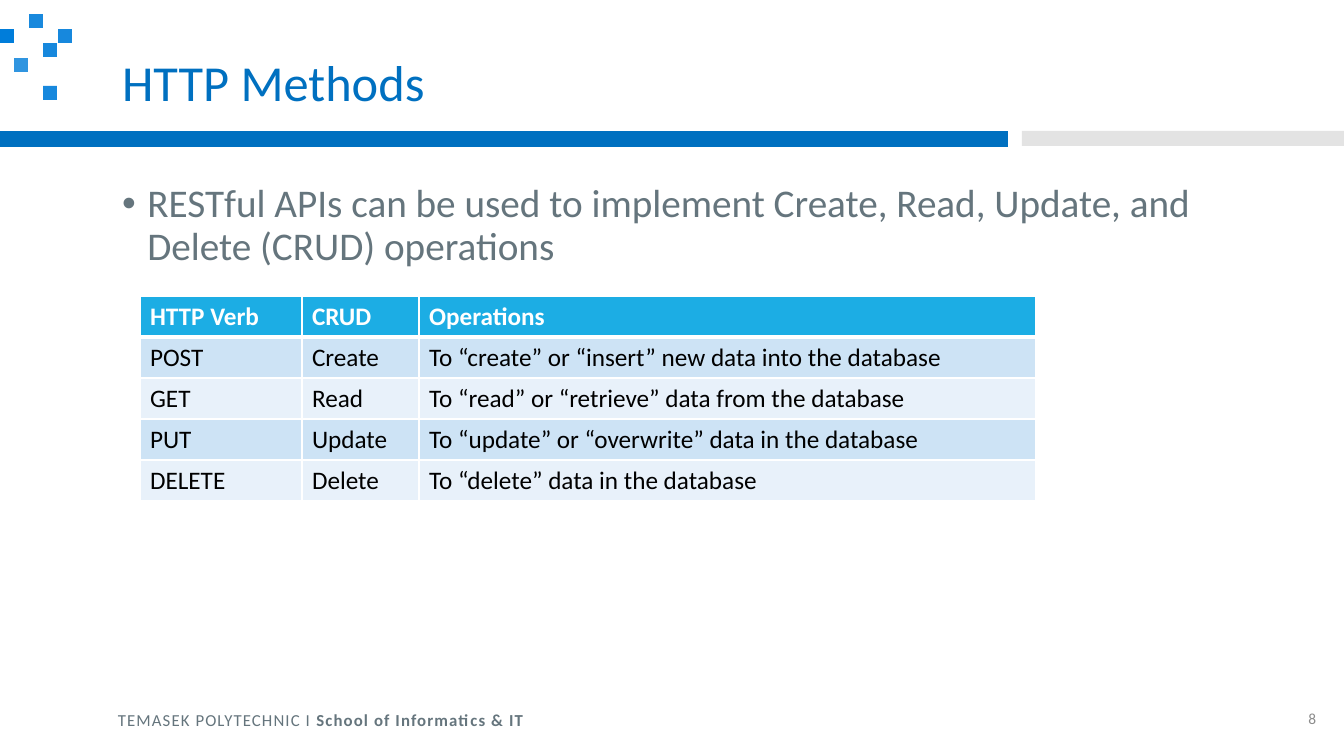
from lxml import etree
from pptx import Presentation
from pptx import util as u
from pptx.dml.color import RGBColor
from pptx.enum import shapes, text
from pptx.oxml.ns import qn

PX = 914400 / 100.8
COLORS = {
    "blue": "0070C0", "tile": "007DDA", "silver": "C8C8C8", "slate": "65757D",
    "grey": "8C8C8C", "header": "1CADE4", "band": "CDE3F5", "light": "E8F1FA",
    "white": "FFFFFF", "black": "000000",
}


def box(*lengths):
    return [u.Emu(round(length * PX)) for length in lengths]


def write(paragraph, words, size=18, color="black", bold=False, spacing=0,
          align=text.PP_ALIGN.LEFT, line=1.0):
    paragraph.alignment = align
    paragraph.line_spacing = line
    paragraph.space_before = u.Pt(0)
    run = paragraph.add_run()
    run.text = words
    run.font.name = "Calibri"
    run.font.size = u.Pt(size)
    run.font.bold = bold
    run.font.color.rgb = RGBColor.from_string(COLORS[color])
    if spacing:
        run.font._element.set("spc", str(spacing))


deck = Presentation()
deck.slide_width, deck.slide_height = box(1344, 756)
slide = deck.slides.add_slide(deck.slide_layouts[1])

blocks = [
    (0, 131, 1008, 16, "blue", 100),
    (1022, 131, 322, 15, "silver", 50),
]
tiles = [(2, 1, 90), (1, 4, 81), (0, 2, 100), (4, 2, 91), (3, 3, 91), (3, 6, 91)]
for column, row, opacity in tiles:
    blocks.append((round(column * 14.4), round(row * 14.4), 14, 14, "tile", opacity))

for left, top, width, height, color, opacity in blocks:
    block = slide.shapes.add_shape(shapes.MSO_SHAPE.RECTANGLE, *box(left, top, width, height))
    block.shadow.inherit = False
    block.line.fill.background()
    block.fill.solid()
    block.fill.fore_color.rgb = RGBColor.from_string(COLORS[color])
    if opacity < 100:
        tint = block._element.spPr.find(".//" + qn("a:srgbClr"))
        etree.SubElement(tint, qn("a:alpha"), val=str(opacity * 1000))

heading = slide.shapes.title
heading.left, heading.top, heading.width, heading.height = box(112, 40, 1139, 91)
heading.text_frame.vertical_anchor = text.MSO_ANCHOR.MIDDLE
heading.text_frame.auto_size = text.MSO_AUTO_SIZE.NONE
write(heading.text_frame.paragraphs[0], "HTTP Methods", size=36, color="blue", line=0.9)

summary = slide.placeholders[1]
summary.left, summary.top, summary.width, summary.height = box(112, 179, 1139, 506)
summary.text_frame.auto_size = text.MSO_AUTO_SIZE.NONE
point = summary.text_frame.paragraphs[0]
indent = point._p.get_or_add_pPr()
indent.set("marL", "228600")
indent.set("indent", "-228600")
etree.SubElement(indent, qn("a:buFont"), typeface="Arial")
etree.SubElement(indent, qn("a:buChar"), char="•")
write(point, "RESTful APIs can be used to implement Create, Read, Update, and "
      "Delete (CRUD) operations", size=28, color="slate", line=0.9)

school = slide.shapes.add_textbox(*box(108, 705, 1167, 30)).text_frame
school.word_wrap = True
write(school.paragraphs[0], "TEMASEK POLYTECHNIC I ", size=12, color="slate", spacing=80)
write(school.paragraphs[0], "School of Informatics & IT", size=12, color="slate",
      bold=True, spacing=80)

page = slide.shapes.add_textbox(*box(1275, 701, 51, 34)).text_frame
page.word_wrap = True
page.vertical_anchor = text.MSO_ANCHOR.MIDDLE
write(page.paragraphs[0], "8", size=11, color="grey", align=text.PP_ALIGN.RIGHT)

methods = [
    ("HTTP Verb", "CRUD", "Operations"),
    ("POST", "Create", "To “create” or “insert” new data into the database"),
    ("GET", "Read", "To “read” or “retrieve” data from the database"),
    ("PUT", "Update", "To “update” or “overwrite” data in the database"),
    ("DELETE", "Delete", "To “delete” data in the database"),
]
widths = [162, 117, 617]
verbs = slide.shapes.add_table(
    len(methods), len(widths), *box(140, 296, sum(widths), 41 * len(methods))).table
for column, width in zip(verbs.columns, box(*widths)):
    column.width = width

for r, method in enumerate(methods):
    is_header = r == 0
    shade = "header" if is_header else ("light", "band")[r % 2]
    for c, words in enumerate(method):
        cell = verbs.cell(r, c)
        edges = cell._tc.get_or_add_tcPr()
        for side in "LRTB":
            thick = (is_header and side == "B") or (r == 1 and side == "T")
            edge = etree.SubElement(edges, qn("a:ln" + side), w=str(u.Pt(3 if thick else 1)))
            paint = etree.SubElement(edge, qn("a:solidFill"))
            etree.SubElement(paint, qn("a:srgbClr"), val=COLORS["white"])
        cell.fill.solid()
        cell.fill.fore_color.rgb = RGBColor.from_string(COLORS[shade])
        write(cell.text_frame.paragraphs[0], words,
              color="white" if is_header else "black", bold=is_header)

deck.save("out.pptx")
